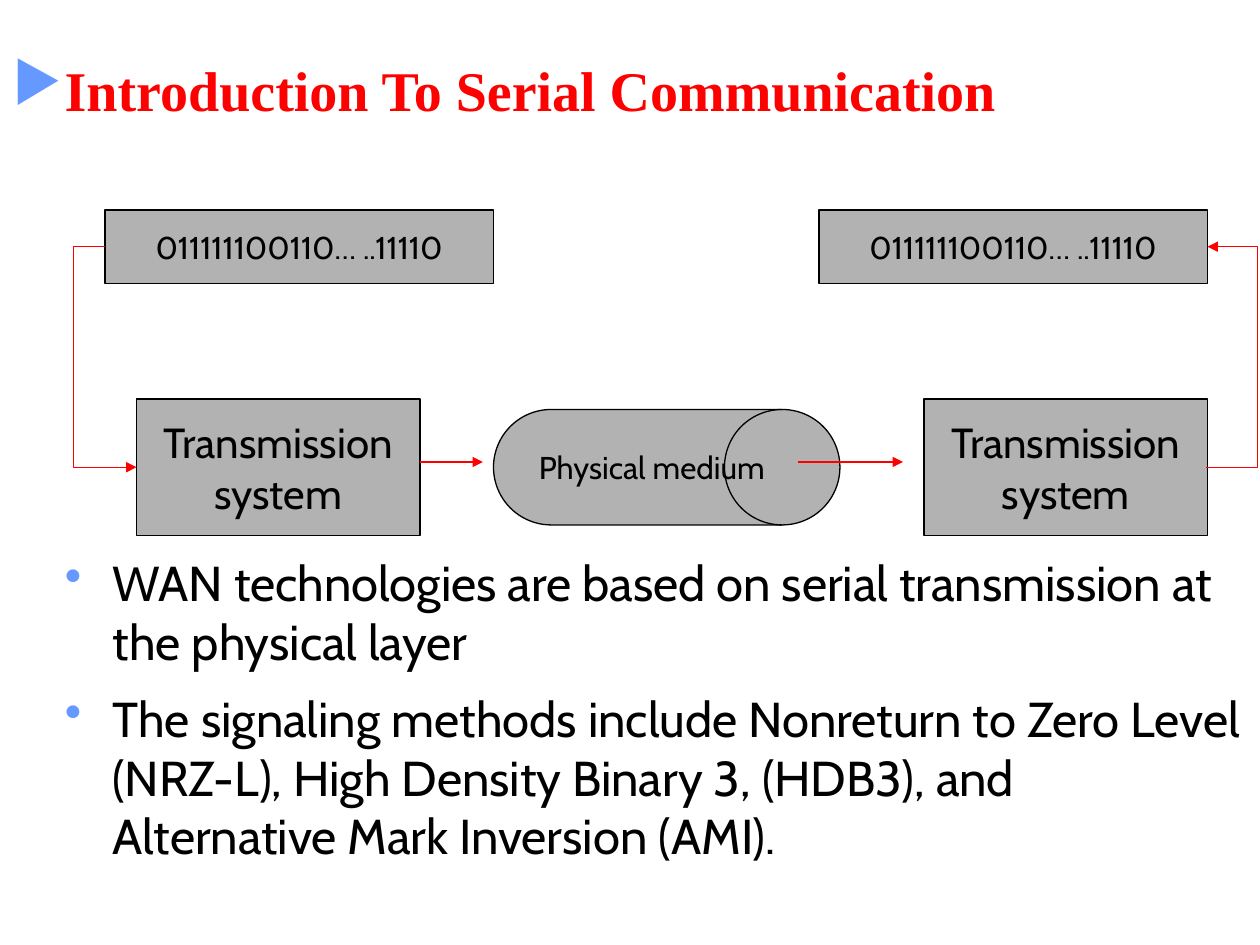
from dataclasses import dataclass
from lxml import etree
from pptx import Presentation
from pptx.dml.color import RGBColor
from pptx.enum.shapes import MSO_CONNECTOR, MSO_SHAPE
from pptx.enum.text import MSO_ANCHOR, MSO_AUTO_SIZE, PP_ALIGN
from pptx.oxml.ns import qn
from pptx.util import Inches, Pt

RECT, DRUM = MSO_SHAPE.RECTANGLE, MSO_SHAPE.FLOWCHART_DIRECT_ACCESS_STORAGE
LINE, ELBOW = MSO_CONNECTOR.STRAIGHT, MSO_CONNECTOR.ELBOW
LEFT, MID = PP_ALIGN.LEFT, PP_ALIGN.CENTER
TOP, CORE = MSO_ANCHOR.TOP, MSO_ANCHOR.MIDDLE
FIXED = MSO_AUTO_SIZE.NONE


@dataclass(frozen=True)
class Theme:
    ink: str = "000000"
    red: str = "FF0000"
    gray: str = "B2B2B2"
    mark: str = "6699FF"
    head: str = "Times New Roman"
    face: str = "Cabin"
    title: int = 32
    body: int = 28
    label: int = 24
    small: int = 18
    rule: float = 0.75
    gap: float = 10.5


THEME = Theme()
WIDE, HIGH = 10, 7.5
COLS, ROWS = 120, 90
BITS = "011111100110… ..11110"
SYSTEM = "Transmission\nsystem"
POINTS = (
    "WAN technologies are based on serial transmission at the physical layer",
    "The signaling methods include Nonreturn to Zero Level (NRZ-L), "
    "High Density Binary 3, (HDB3), and Alternative Mark Inversion (AMI).",
)


def grid(*cells):
    """Turn column, row pairs into lengths."""
    units = (WIDE / COLS, HIGH / ROWS)
    return [Inches(cell * units[i % 2]) for i, cell in enumerate(cells)]


def apply(item, values):
    for name, value in values.items():
        setattr(item, name, value)


def style(para, size, color=THEME.ink, face=THEME.face, bold=False):
    apply(para.font, {"size": Pt(size), "name": face, "bold": bold})
    para.font.color.rgb = RGBColor.from_string(color)


def bullet(para, char, hang=0):
    props = para._p.get_or_add_pPr()
    inset = Inches(hang)
    props.set("marL", str(inset))
    props.set("indent", str(-inset))
    tint = etree.SubElement(props, qn("a:buClr"))
    etree.SubElement(tint, qn("a:srgbClr"), val=THEME.mark)
    etree.SubElement(props, qn("a:buChar"), char=char)


def heading(slide, text):
    title = slide.shapes.title
    apply(title, dict(zip(("left", "top", "width", "height"), grid(0, 4, 120, 9))))
    frame = title.text_frame
    frame.text = text
    apply(frame, {"auto_size": FIXED, "vertical_anchor": CORE, "word_wrap": True})
    para = frame.paragraphs[0]
    para.alignment = LEFT
    bullet(para, "▶")
    style(para, THEME.title, THEME.red, THEME.head, True)


def listing(slide, points):
    frame = slide.shapes.add_textbox(*grid(5, 52, 115, 37)).text_frame
    apply(frame, {"text": "\n".join(points), "word_wrap": True,
                  "vertical_anchor": TOP})
    for i, para in enumerate(frame.paragraphs):
        bullet(para, "•", 0.38)
        style(para, THEME.body)
        if i:
            para.space_before = Pt(THEME.gap)


def node(slide, kind, cells, text, size, inset=0.1):
    shape = slide.shapes.add_shape(kind, *grid(*cells))
    shape.shadow.inherit = False
    shape.fill.solid()
    shape.fill.fore_color.rgb = RGBColor.from_string(THEME.gray)
    shape.line.color.rgb = RGBColor.from_string(THEME.ink)
    shape.line.width = Pt(THEME.rule)
    frame = shape.text_frame
    apply(frame, {"text": text, "word_wrap": False, "vertical_anchor": CORE,
                  "margin_left": Inches(inset)})
    for para in frame.paragraphs:
        para.alignment = MID
        style(para, size)


def arrow(slide, start, end, turn=None):
    """Draw an arrow; turn is the column where an elbow bends."""
    kind = LINE if turn is None else ELBOW
    link = slide.shapes.add_connector(kind, *grid(*start, *end))
    link.line.color.rgb = RGBColor.from_string(THEME.red)
    link.line.width = Pt(THEME.rule)
    props = link._element.spPr
    etree.SubElement(props.find(qn("a:ln")), qn("a:tailEnd"), type="triangle")
    etree.SubElement(props, qn("a:effectLst"))
    if turn is not None:
        share = (turn - start[0]) / (end[0] - start[0])
        guides = props.find(qn("a:prstGeom")).find(qn("a:avLst"))
        etree.SubElement(guides, qn("a:gd"), name="adj1",
                         fmla=f"val {round(share * 100000)}")


def main():
    deck = Presentation()
    deck.slide_width, deck.slide_height = Inches(WIDE), Inches(HIGH)
    slide = deck.slides.add_slide(deck.slide_layouts[5])

    # Text
    heading(slide, "Introduction To Serial Communication")
    listing(slide, POINTS)

    # Bit streams over their transmission systems
    for col in (10, 78):
        node(slide, RECT, (col, 20, 37, 7), BITS, THEME.small)
    for col in (13, 88):
        node(slide, RECT, (col, 38, 27, 13), SYSTEM, THEME.label)
    node(slide, DRUM, (47, 39, 33, 11), "Physical medium", THEME.small, 0.32)

    # Signal path from sender to receiver
    arrow(slide, (10, 23.5), (13, 44.5), turn=7)
    arrow(slide, (40, 44), (46, 44))
    arrow(slide, (76, 44), (86, 44))
    arrow(slide, (114.9, 44.5), (115, 23.5), turn=119.8)

    deck.save("out.pptx")


if __name__ == "__main__":
    main()
